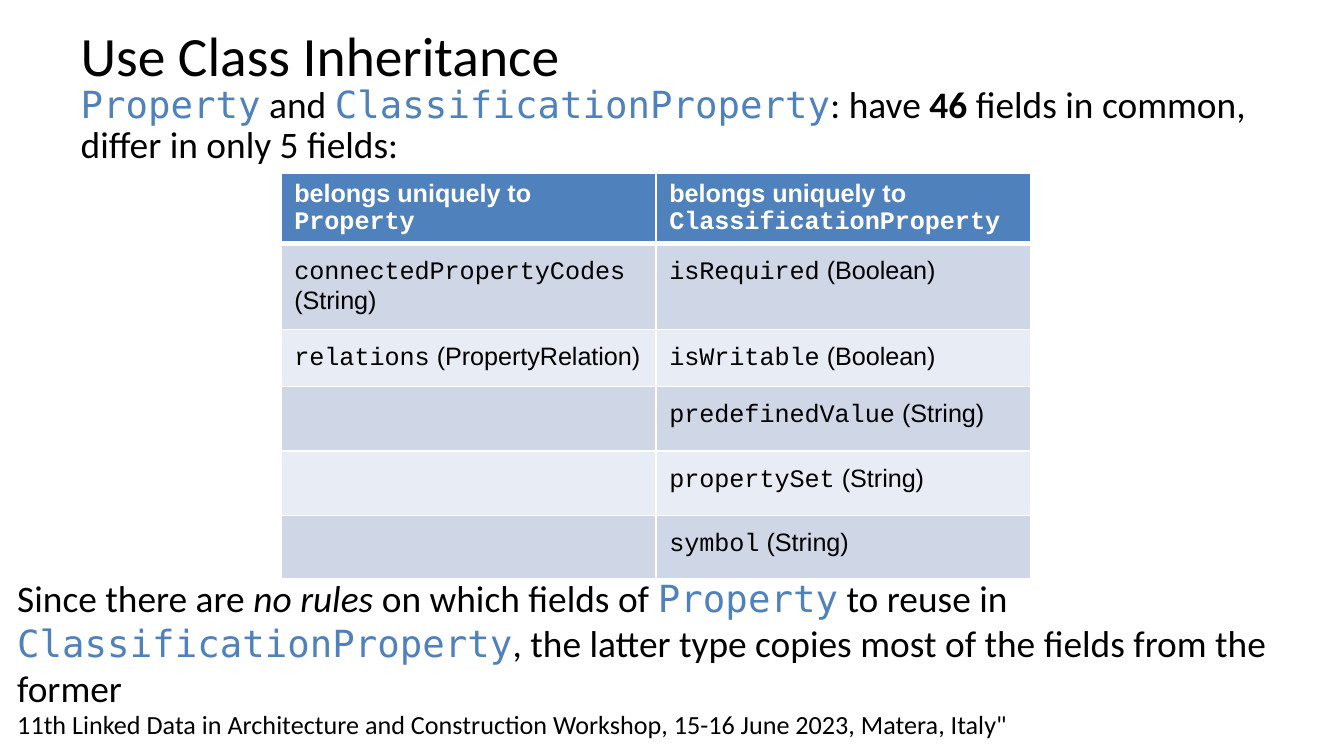
from dataclasses import dataclass

from lxml.etree import SubElement
from pptx import Presentation
from pptx.dml.color import RGBColor
from pptx.enum.text import MSO_ANCHOR, MSO_AUTO_SIZE, PP_ALIGN
from pptx.oxml.ns import qn
from pptx.util import Inches, Pt

BLACK = RGBColor(0, 0, 0)
WHITE = RGBColor(0xFF, 0xFF, 0xFF)
BLUE = RGBColor(0x4F, 0x81, 0xBD)
BANDS = (RGBColor(0xCF, 0xD7, 0xE7), RGBColor(0xE8, 0xEC, 0xF4))

# Run formats
PLAIN = dict(name="Calibri", size=Pt(20), color=BLACK, bold=False)
BOLD = PLAIN | dict(bold=True)
SLANT = PLAIN | dict(italic=True)
CODE = PLAIN | dict(name="DejaVu Sans Mono", color=BLUE)
TITLE = PLAIN | dict(size=Pt(29.7))
FOOT = PLAIN | dict(size=Pt(14))
CELL = PLAIN | dict(name="Arial", size=Pt(13.5))
FIELD = CELL | dict(name="Courier New")
HEAD = dict(color=WHITE, bold=True)


@dataclass
class Run:
    text: str
    form: dict


@dataclass
class Field:
    name: str
    kind: str


@dataclass
class Box:
    left: float
    top: float
    width: float
    height: float

    def size(self) -> tuple:
        return tuple(map(Inches, (self.left, self.top, self.width, self.height)))


def write(para, runs: list[Run]) -> None:
    for item in runs:
        run = para.add_run()
        run.text = item.text
        for key, value in item.form.items():
            if key == "color":
                run.font.color.rgb = value
            else:
                setattr(run.font, key, value)


def fill_frame(shape, runs: list[Run], pad: float, anchor=MSO_ANCHOR.TOP):
    frame = shape.text_frame
    form = dict(word_wrap=True, auto_size=MSO_AUTO_SIZE.NONE,
                vertical_anchor=anchor,
                margin_left=Inches(0.1), margin_right=Inches(0.1),
                margin_top=Inches(pad), margin_bottom=Inches(pad))
    for key, value in form.items():
        setattr(frame, key, value)
    para = frame.paragraphs[0]
    para.alignment = PP_ALIGN.LEFT
    write(para, runs)
    return para


def place(shape, box: Box) -> None:
    for key, value in zip(("left", "top", "width", "height"), box.size()):
        setattr(shape, key, value)


def add_note(slide, box: Box, runs: list[Run]) -> None:
    fill_frame(slide.shapes.add_textbox(*box.size()), runs, 0.1)


def edge(cell, top: float, bottom: float) -> None:
    props = cell._tc.get_or_add_tcPr()
    for side, width in dict(lnL=1, lnR=1, lnT=top, lnB=bottom).items():
        line = SubElement(props, qn(f"a:{side}"), w=str(Pt(width)))
        SubElement(SubElement(line, qn("a:solidFill")), qn("a:srgbClr"),
                   val=str(WHITE))


def fill_cell(cell, row: int, runs: list[Run]) -> None:
    edge(cell, 3 if row == 1 else 1, 3 if row == 0 else 1)
    cell.fill.solid()
    cell.fill.fore_color.rgb = BANDS[(row - 1) % 2] if row else BLUE
    cell.margin_left = cell.margin_right = Inches(0.1)
    cell.margin_top = cell.margin_bottom = Inches(0.1 if row and runs else 0.05)
    write(cell.text_frame.paragraphs[0], runs)


def add_grid(slide, box: Box, heights: list[float],
             groups: dict[str, list[Field]]) -> None:
    table = slide.shapes.add_table(len(heights), len(groups), *box.size()).table
    for row, height in zip(table.rows, heights):
        row.height = Inches(height)
    for col, (owner, fields) in enumerate(groups.items()):
        table.columns[col].width = Inches(box.width / len(groups))
        fill_cell(table.cell(0, col), 0, [Run("belongs uniquely to ", CELL | HEAD),
                                          Run(owner, FIELD | HEAD)])
        for row in range(1, len(heights)):
            runs = [Run(text, form) for field in fields[row - 1:row]
                    for text, form in ((field.name, FIELD),
                                       (f" ({field.kind})", CELL))]
            fill_cell(table.cell(row, col), row, runs)


def main() -> None:
    # Widescreen page, 16:9
    deck = Presentation()
    deck.slide_width = Inches(10)
    deck.slide_height = Inches(10 * 9 / 16)
    slide = deck.slides.add_slide(deck.slide_layouts[1])

    # Title
    title, body = slide.placeholders
    place(title, Box(0.5, 0.22, 6.31, 0.48))
    fill_frame(title, [Run("Use Class Inheritance", TITLE)], 0.05,
               MSO_ANCHOR.BOTTOM)

    # Lead text, without a bullet
    place(body, Box(0.5, 0.59, 9.15, 0.74))
    para = fill_frame(body, [
        Run("Property", CODE), Run(" and ", PLAIN),
        Run("ClassificationProperty", CODE), Run(": have ", PLAIN),
        Run("46", BOLD),
        Run(" fields in common, differ in only 5 fields:", PLAIN)], 0.05)
    para.line_spacing, para.space_before = 0.9, Pt(0)
    props = para._p.get_or_add_pPr()
    props.set("marL", "0")
    props.set("indent", "0")
    SubElement(props, qn("a:buNone"))

    # Table of unique fields
    heights = [0.52, 0.64, 0.42, 0.48, 0.48, 0.47]
    add_grid(slide, Box(2.09, 1.29, 5.58, sum(heights)), heights, {
        "Property": [Field("connectedPropertyCodes", "String"),
                     Field("relations", "PropertyRelation")],
        "ClassificationProperty": [Field("isRequired", "Boolean"),
                                   Field("isWritable", "Boolean"),
                                   Field("predefinedValue", "String"),
                                   Field("propertySet", "String"),
                                   Field("symbol", "String")]})

    # Conclusion and event line
    add_note(slide, Box(0.03, 4.18, 9.94, 1.21), [
        Run("Since there are ", PLAIN), Run("no rules", SLANT),
        Run(" on which fields of ", PLAIN), Run("Property", CODE),
        Run(" to reuse in ", PLAIN), Run("ClassificationProperty", CODE),
        Run(", the latter type copies most of the fields from the former",
            PLAIN)])
    add_note(slide, Box(0.03, 5.17, 7.69, 0.44), [
        Run("11th Linked Data in Architecture and Construction Workshop, "
            "15-16 June 2023, Matera, Italy\"", FOOT)])

    deck.save("out.pptx")


if __name__ == "__main__":
    main()
